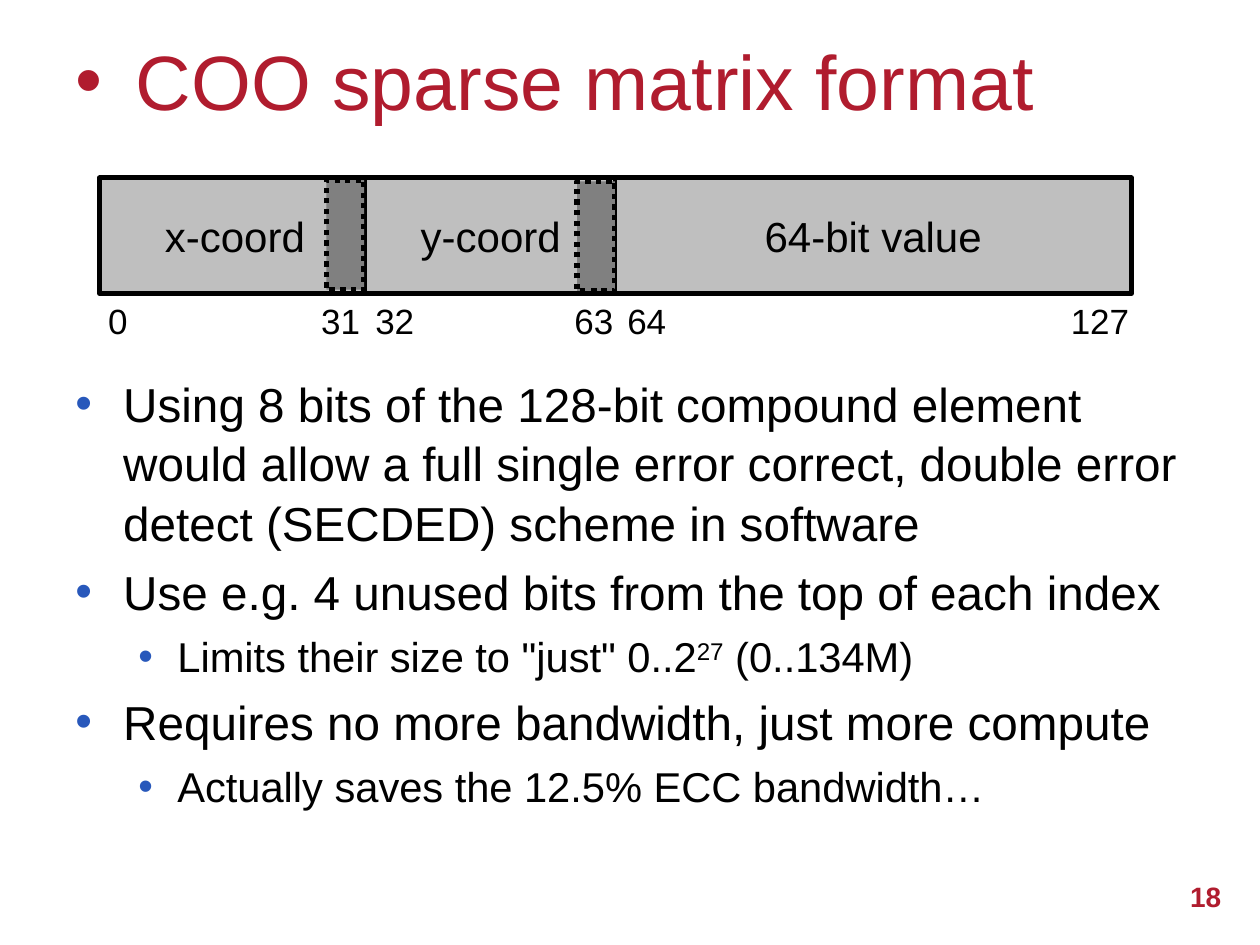
from dataclasses import dataclass

from lxml.etree import SubElement
from pptx import Presentation
from pptx.dml.color import RGBColor as RGB
from pptx.enum.dml import MSO_LINE_DASH_STYLE as Dash
from pptx.enum.shapes import MSO_CONNECTOR as Connector, MSO_SHAPE as Shape
from pptx.enum.text import MSO_ANCHOR as Anchor, MSO_AUTO_SIZE as AutoSize, PP_ALIGN as Align
from pptx.oxml.ns import qn
from pptx.util import Inches, Pt


@dataclass(frozen=True)
class Theme:
    font: str = "Arial"
    accent: str = "B01C2E"
    bullet: str = "2858BB"
    ink: str = "000000"
    field: str = "BFBFBF"
    spare: str = "808080"
    title: float = 44
    body: tuple = (27.2, 23.8)
    label: float = 24
    index: float = 20
    number: float = 16


class SlideBuilder:
    """Places elements on a grid of 100 columns and 75 rows."""

    def __init__(self, presentation, theme):
        self.theme = theme
        self.column = presentation.slide_width / 100
        self.row = presentation.slide_height / 75
        self.slide = presentation.slides.add_slide(presentation.slide_layouts[6])

    def place(self, left, top, width, height):
        return (round(left * self.column), round(top * self.row),
                round(width * self.column), round(height * self.row))

    def frame(self, box, anchor=Anchor.TOP, wrap=True):
        frame = self.slide.shapes.add_textbox(*self.place(*box)).text_frame
        frame.word_wrap = wrap
        frame.auto_size = AutoSize.NONE if wrap else AutoSize.SHAPE_TO_FIT_TEXT
        frame.vertical_anchor = anchor
        return frame

    def run(self, paragraph, text, size, color, bold=False, raised=0):
        run = paragraph.add_run()
        run.text = text
        run.font.name = self.theme.font
        run.font.size = Pt(size)
        run.font.bold = bold
        run.font.color.rgb = RGB.from_string(color)
        if raised:
            run.font._element.set("baseline", str(raised * 1000))

    def bullet(self, paragraph, indent, hanging, color):
        properties = paragraph._p.get_or_add_pPr()
        properties.set("marL", str(Inches(indent)))
        properties.set("indent", str(-Inches(hanging)))
        SubElement(SubElement(properties, qn("a:buClr")), qn("a:srgbClr"), val=color)
        SubElement(properties, qn("a:buFont"), typeface=self.theme.font)
        SubElement(properties, qn("a:buChar"), char="•")

    def title(self, text, box):
        paragraph = self.frame(box, Anchor.MIDDLE).paragraphs[0]
        self.bullet(paragraph, 0.48, 0.48, self.theme.accent)
        self.run(paragraph, text, self.theme.title, self.theme.accent)

    def bullets(self, items, box):
        frame = self.frame(box)
        indents = ((0.38, 0.38), (0.81, 0.31))
        for position, (level, runs) in enumerate(items):
            paragraph = frame.add_paragraph() if position else frame.paragraphs[0]
            paragraph.level = level
            paragraph.line_spacing = 1.05
            paragraph.space_before = Pt(4.9)
            self.bullet(paragraph, *indents[level], self.theme.bullet)
            for text, raised in runs:
                self.run(paragraph, text, self.theme.body[level], self.theme.ink, raised=raised)

    def label(self, text, size, box):
        paragraph = self.frame(box, wrap=False).paragraphs[0]
        self.run(paragraph, text, size, self.theme.ink)

    def number(self, text, box):
        paragraph = self.frame(box, Anchor.MIDDLE).paragraphs[0]
        paragraph.alignment = Align.RIGHT
        self.run(paragraph, text, self.theme.number, self.theme.accent, bold=True)

    def stroke(self, line, width):
        line.color.rgb = RGB.from_string(self.theme.ink)
        line.width = Pt(width)

    def block(self, box, fill, width, dash=None):
        shape = self.slide.shapes.add_shape(Shape.RECTANGLE, *self.place(*box))
        shape.shadow.inherit = False
        shape.fill.solid()
        shape.fill.fore_color.rgb = RGB.from_string(fill)
        self.stroke(shape.line, width)
        if dash:
            shape.line.dash_style = dash

    def divider(self, column, top, height):
        left, upper, _, drop = self.place(column, top, 0, height)
        line = self.slide.shapes.add_connector(Connector.STRAIGHT, left, upper, left, upper + drop)
        SubElement(line._element.spPr, qn("a:effectLst"))
        self.stroke(line.line, 2)


presentation = Presentation()
presentation.slide_width, presentation.slide_height = Inches(10), Inches(7.5)
theme = Theme()
builder = SlideBuilder(presentation, theme)

# Title, body and slide number
builder.title("COO sparse matrix format", (5, 0.1, 90, 12.5))
builder.bullets([
    (0, [("Using 8 bits of the 128-bit compound element would allow a full single error "
          "correct, double error detect (SECDED) scheme in software", 0)]),
    (0, [("Use e.g. 4 unused bits from the top of each index", 0)]),
    (1, [('Limits their size to "just" 0..2', 0), ("27", 30), (" (0..134M)", 0)]),
    (0, [("Requires no more bandwidth, just more compute", 0)]),
    (1, [("Actually saves the 12.5% ECC bandwidth…", 0)]),
], (5, 29, 90, 37.6))
builder.number("18", (90.2, 68.5, 7.7, 5.2))

# Compound element and its fields
bar_top, bar_height = 14.1, 9.2
builder.block((7.9, bar_top, 81.9, bar_height), theme.field, 2.5)
for text, left, width in (("x-coord", 12.1, 13.2), ("y-coord", 32.4, 13.2),
                          ("64-bit value", 59.7, 19.4)):
    builder.label(text, theme.label, (left, 16.2, width, 5))

# Bit positions below the bar
for text, left, width in (("0", 7.6, 3.6), ("31", 24.5, 5.1), ("32", 28.8, 5.1),
                          ("63", 44.6, 5.1), ("64", 48.8, 5.1), ("127", 84, 6.7)):
    builder.label(text, theme.index, (left, bar_top + bar_height, width, 4.4))

# Field boundaries, each with the spare bits to its left
spare_width = 3
for boundary, offset in ((29, 0.1), (48.8, 0)):
    builder.divider(boundary, bar_top + offset, bar_height)
for right, top in ((28.9, 14.3), (48.8, 14.4)):
    builder.block((right - spare_width, top, spare_width, 8.7), theme.spare, 3,
                  Dash.ROUND_DOT)

presentation.save("out.pptx")
